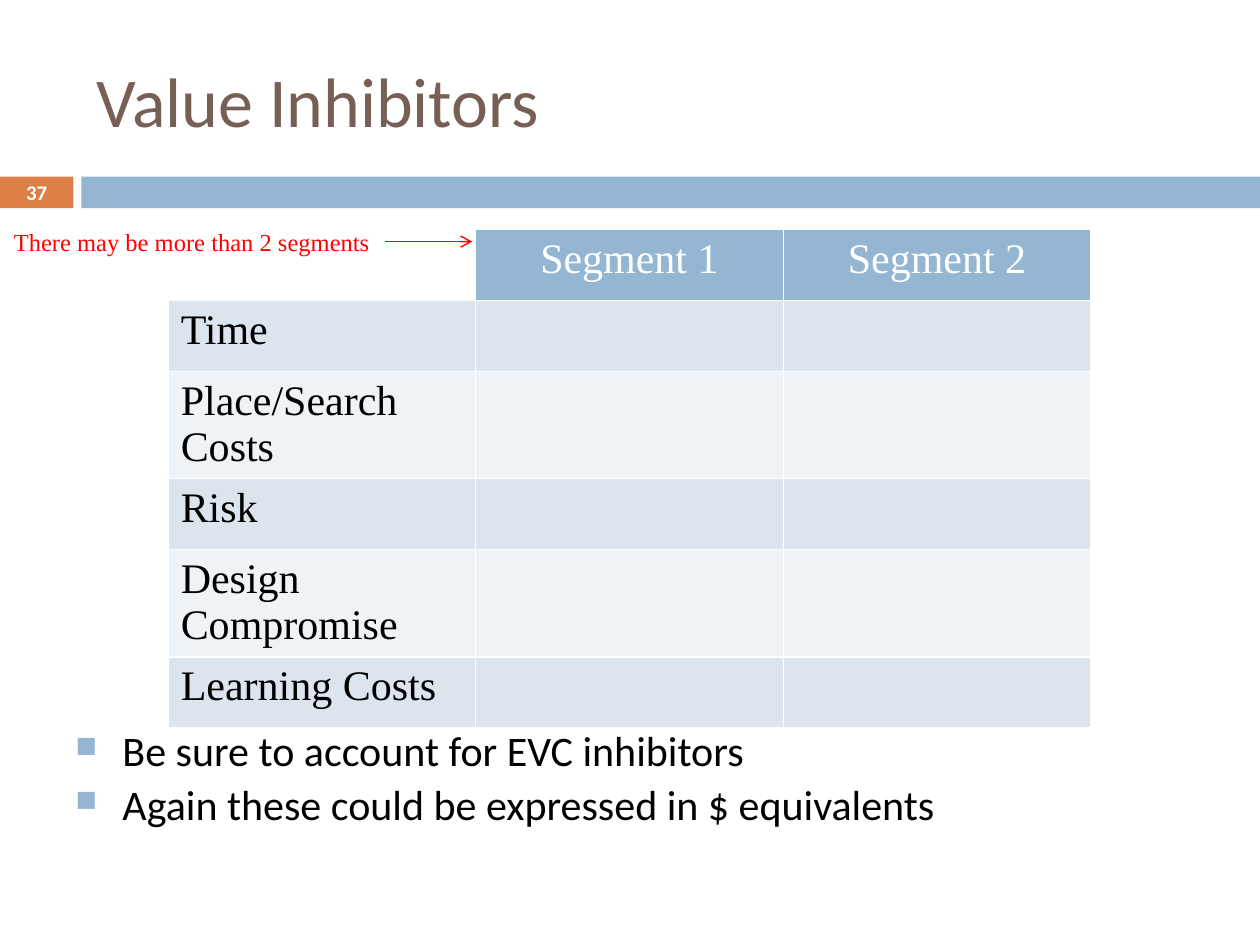
from lxml.etree import SubElement
from pptx import Presentation
from pptx.dml.color import RGBColor
from pptx.enum.shapes import MSO_CONNECTOR, MSO_SHAPE
from pptx.enum.text import MSO_ANCHOR, PP_ALIGN
from pptx.oxml.ns import qn
from pptx.util import Cm, Pt

WHITE = RGBColor(0xFF, 0xFF, 0xFF)
BLACK = RGBColor(0, 0, 0)
RED = RGBColor(0xFF, 0, 0)
BROWN = RGBColor(0x77, 0x5F, 0x55)
ORANGE = RGBColor(0xDD, 0x80, 0x47)
BLUE = RGBColor(0x94, 0xB6, 0xD2)
BAND_DARK = RGBColor(0xDC, 0xE5, 0xEE)
BAND_LIGHT = RGBColor(0xEE, 0xF3, 0xF7)
SANS = "Calibri"
SERIF = "Times New Roman"

TITLE = "Value Inhibitors"
PAGE_NUMBER = "37"
NOTE = "There may be more than 2 segments"
SEGMENTS = ["Segment 1", "Segment 2"]
INHIBITORS = ["Time", "Place/Search Costs", "Risk", "Design Compromise", "Learning Costs"]
BULLETS = [
    "Be sure to account for EVC inhibitors",
    "Again these could be expressed in $ equivalents",
]
COLUMN_WIDTH = Cm(6.2)
ROW_HEIGHT = Cm(1.43)


def style(para, font, size, color, bold=False):
    for span in para.runs:
        span.font.name = font
        span.font.size = Pt(size)
        span.font.color.rgb = color
        span.font.bold = bold


def add_bar(page, left, width, color):
    bar = page.shapes.add_shape(MSO_SHAPE.RECTANGLE, Cm(left), Cm(3.56), Cm(width), Cm(0.64))
    bar.shadow.inherit = False
    bar.fill.solid()
    bar.fill.fore_color.rgb = color
    bar.line.fill.background()


def add_text(page, text, left, top, width, height, font, size, color,
             anchor=MSO_ANCHOR.TOP, wrap=True, bold=False):
    box = page.shapes.add_textbox(Cm(left), Cm(top), Cm(width), Cm(height))
    frame = box.text_frame
    frame.word_wrap = wrap
    frame.vertical_anchor = anchor
    frame.text = text
    for para in frame.paragraphs:
        style(para, font, size, color, bold)
    return frame


def add_bullet(para):
    properties = para._p.get_or_add_pPr()
    properties.set("marL", str(Cm(0.95)))
    properties.set("indent", str(-Cm(0.95)))
    color = SubElement(properties, qn("a:buClr"))
    SubElement(color, qn("a:srgbClr"), val=str(BLUE))
    SubElement(properties, qn("a:buSzPct"), val="70000")
    SubElement(properties, qn("a:buChar"), char="■")


def add_borders(cell):
    properties = cell._tc.get_or_add_tcPr()
    for side in "LRTB":
        line = SubElement(properties, qn(f"a:ln{side}"), w=str(Pt(1)))
        fill = SubElement(line, qn("a:solidFill"))
        SubElement(fill, qn("a:srgbClr"), val=str(WHITE))


def add_segment_table(page):
    rows = [["", *SEGMENTS]] + [[name] + [""] * len(SEGMENTS) for name in INHIBITORS]
    columns = len(rows[0])
    table = page.shapes.add_table(len(rows), columns, Cm(3.39), Cm(4.63),
                                  COLUMN_WIDTH * columns, ROW_HEIGHT * len(rows)).table
    for column in table.columns:
        column.width = COLUMN_WIDTH
    for row_index, row in enumerate(rows):
        table.rows[row_index].height = ROW_HEIGHT
        header = row_index == 0
        for column_index, text in enumerate(row):
            cell = table.cell(row_index, column_index)
            add_borders(cell)
            cell.margin_bottom = 0
            if header:
                color = BLUE if text else WHITE
            else:
                color = BAND_DARK if row_index % 2 else BAND_LIGHT
            cell.fill.solid()
            cell.fill.fore_color.rgb = color
            if text:
                para = cell.text_frame.paragraphs[0]
                para.text = text
                para.alignment = PP_ALIGN.CENTER if header else PP_ALIGN.LEFT
                style(para, SERIF, 24, WHITE if header else BLACK)


def add_arrow(page):
    arrow = page.shapes.add_connector(MSO_CONNECTOR.STRAIGHT,
                                      Cm(7.77), Cm(4.87), Cm(9.52), Cm(4.87))
    arrow.line.color.rgb = RED
    arrow.line.width = Pt(0.79)
    SubElement(arrow.line._get_or_add_ln(), qn("a:tailEnd"), type="arrow")
    SubElement(arrow._element.spPr, qn("a:effectLst"))


def main():
    deck = Presentation()
    deck.slide_width, deck.slide_height = Cm(25.4), Cm(19.05)
    page = deck.slides.add_slide(deck.slide_layouts[6])

    add_bar(page, 0, 1.48, ORANGE)
    add_bar(page, 1.64, 23.76, BLUE)

    points = add_text(page, "\n".join(BULLETS), 1.27, 14.6, 22.1, 3.81, SANS, 24, BLACK)
    for index, para in enumerate(points.paragraphs):
        para.line_spacing = 0.9
        if index:
            para.space_before = Pt(4.8)
        add_bullet(para)

    add_text(page, TITLE, 1.7, 0.64, 22.66, 2.74, SANS, 40, BROWN, MSO_ANCHOR.MIDDLE)
    number = add_text(page, PAGE_NUMBER, 0, 3.53, 1.48, 0.69, SANS, 11.9, WHITE,
                      MSO_ANCHOR.MIDDLE, bold=True)
    number.paragraphs[0].alignment = PP_ALIGN.CENTER

    add_segment_table(page)
    add_text(page, NOTE, 0.03, 4.45, 7.75, 0.86, SERIF, 14, RED, wrap=False)
    add_arrow(page)
    deck.save("out.pptx")


if __name__ == "__main__":
    main()
